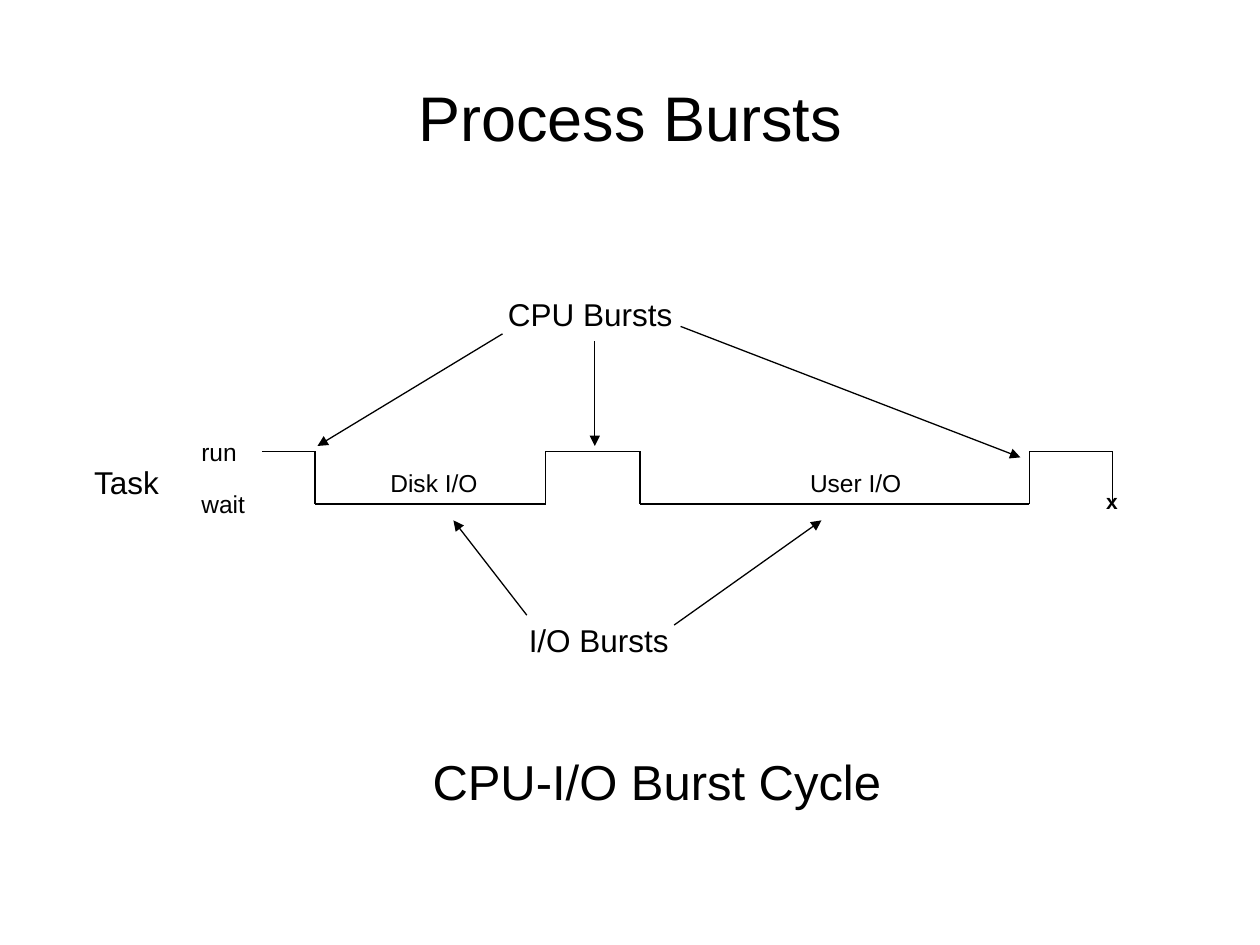
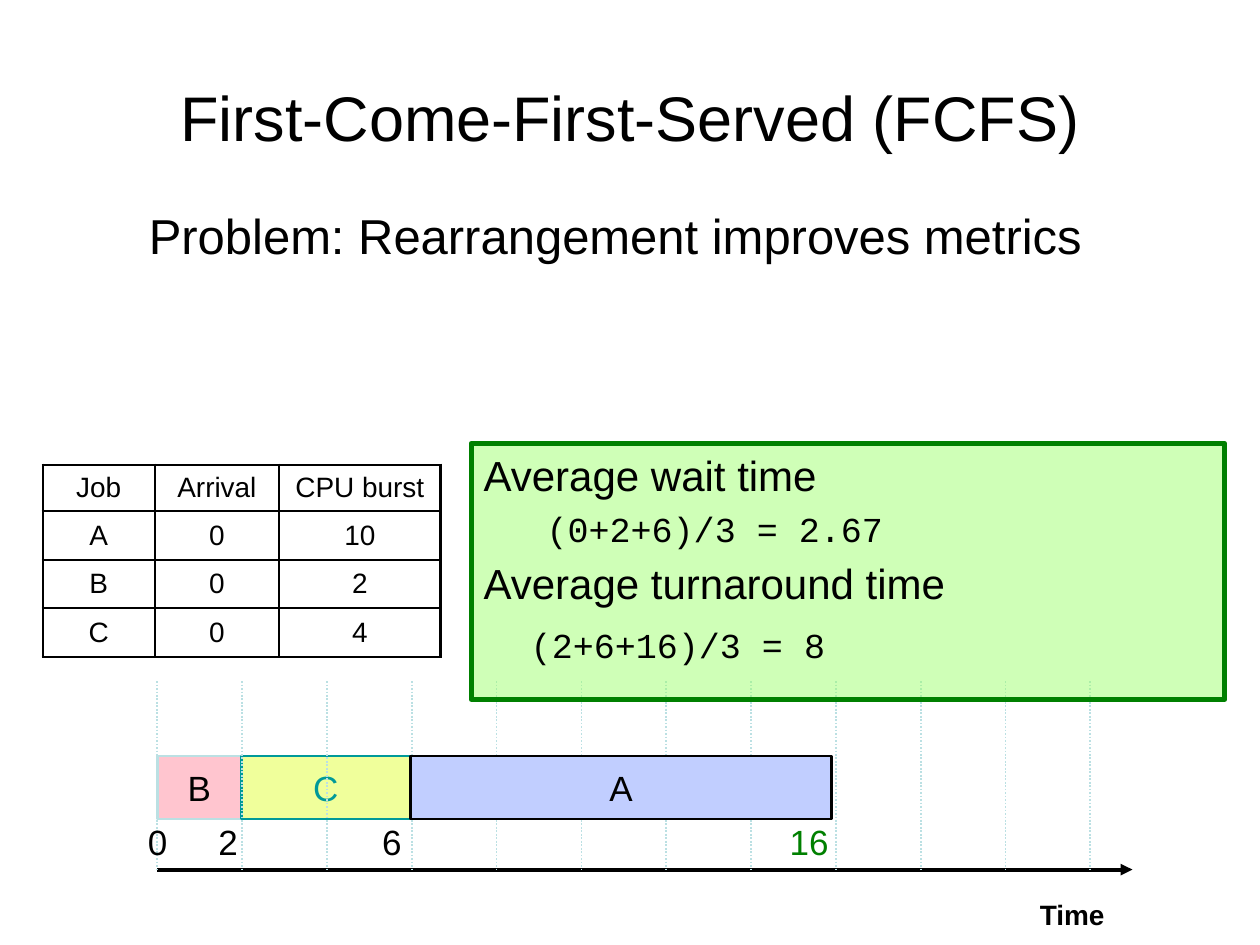
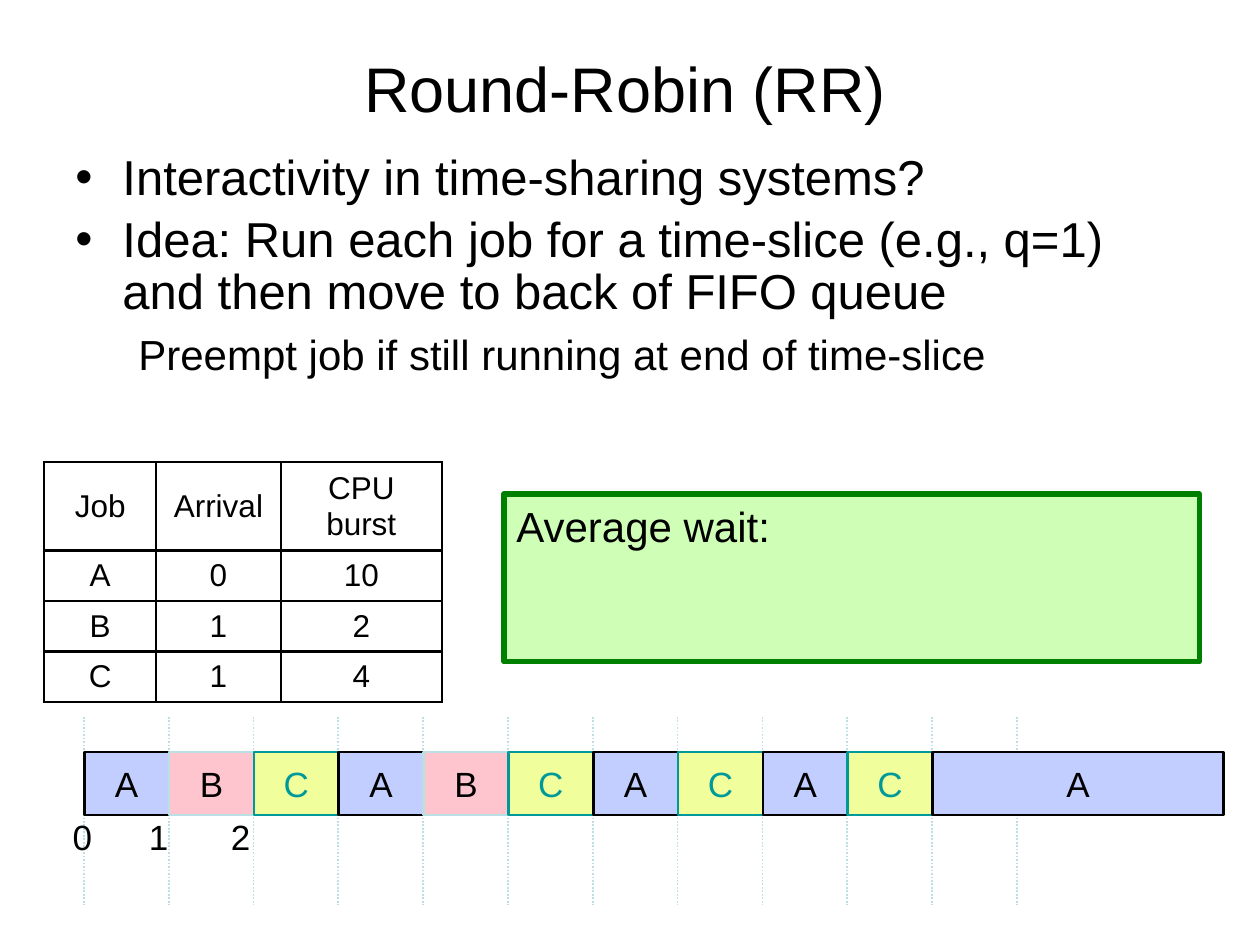
from itertools import cycle, pairwise

from lxml.etree import SubElement
from pptx import Presentation
from pptx.dml.color import RGBColor
from pptx.enum.dml import MSO_LINE
from pptx.enum.shapes import MSO_CONNECTOR, MSO_SHAPE
from pptx.enum.text import MSO_ANCHOR, PP_ALIGN
from pptx.oxml.ns import qn
from pptx.util import Cm, Pt

LEFT, CENTER = PP_ALIGN.LEFT, PP_ALIGN.CENTER
TOP, MIDDLE, BOTTOM = MSO_ANCHOR.TOP, MSO_ANCHOR.MIDDLE, MSO_ANCHOR.BOTTOM
STRAIGHT, RECTANGLE = MSO_CONNECTOR.STRAIGHT, MSO_SHAPE.RECTANGLE
DOTTED = MSO_LINE.ROUND_DOT
TITLE_ONLY = 5

COLORS = {
    "black": "000000",
    "green": "008000",
    "lime": "99FF66",
    "grid": "BBE0E3",
    "pink": "FFC5CF",
    "yellow": "F0FF9B",
    "teal": "009999",
    "blue": "C1CEFF",
}
# Fill, outline and text colour of each job's bars
JOB_COLORS = {
    "A": ("blue", "black", "black"),
    "B": ("pink", "grid", "black"),
    "C": ("yellow", "teal", "teal"),
}
SANS, MONO = "Arial", "Courier New"
GRID_STEP = 1.71
GRID_LINES = 12
GRID_HEIGHT = 3.8
BAR_HEIGHT = 1.27
TICK_WIDTH, TICK_HEIGHT = 1.47, 1.09
COLUMN_WIDTHS = (2.26, 2.51, 3.25)


def rgb(name):
    return RGBColor.from_string(COLORS[name])


def format_paragraph(para, text, size, color="black", font=SANS, bold=False,
                     align=LEFT, before=0, indent=0, bullet=False, spacing=None):
    """Fill one paragraph; indent is in cm, and a bullet hangs in it."""
    para.text = text
    para.alignment = align
    if before:
        para.space_before = Pt(before)
    if spacing:
        para.line_spacing = spacing
    properties = para._p.get_or_add_pPr()
    if indent:
        properties.set("marL", str(Cm(indent)))
        properties.set("indent", str(-Cm(indent) if bullet else 0))
    if bullet:
        SubElement(properties, qn("a:buFont"), typeface=SANS)
        SubElement(properties, qn("a:buChar"), char="•")
    para.font.size = Pt(size)
    para.font.name = font
    para.font.bold = bold
    para.font.color.rgb = rgb(color)


def write_paragraphs(frame, paragraphs):
    """Write (text, size, options) items into a text frame."""
    for index, (text, size, options) in enumerate(paragraphs):
        para = frame.add_paragraph() if index else frame.paragraphs[0]
        format_paragraph(para, text, size, **options)


def add_titled_slide(deck, title, width=22.86, height=3.18):
    slide = deck.slides.add_slide(deck.slide_layouts[TITLE_ONLY])
    box = slide.shapes.title
    box.left, box.top = Cm(1.27), Cm(0.76)
    box.width, box.height = Cm(width), Cm(height)
    box.text_frame.vertical_anchor = MIDDLE
    format_paragraph(box.text_frame.paragraphs[0], title, 36, align=CENTER)
    return slide


def add_text(slide, left, top, width, height, paragraphs, wrap=True, anchor=TOP):
    box = slide.shapes.add_textbox(Cm(left), Cm(top), Cm(width), Cm(height))
    box.text_frame.word_wrap = wrap
    box.text_frame.vertical_anchor = anchor
    write_paragraphs(box.text_frame, paragraphs)


def add_label(slide, text, left, top, width, height, size, bold=False):
    add_text(slide, left, top, width, height, [(text, size, {"bold": bold})], wrap=False)


def add_line(slide, start, end, color="black", weight=0.75, dash=None, arrow=False):
    line = slide.shapes.add_connector(STRAIGHT, *map(Cm, start + end))
    line.line.color.rgb = rgb(color)
    line.line.width = Pt(weight)
    if dash:
        line.line.dash_style = dash
    if arrow:
        SubElement(line.line._get_or_add_ln(), qn("a:tailEnd"), type="triangle")
    SubElement(line.element.spPr, qn("a:effectLst"))


def add_rectangle(slide, left, top, width, height, fill, outline, weight):
    shape = slide.shapes.add_shape(RECTANGLE, Cm(left), Cm(top), Cm(width), Cm(height))
    shape.shadow.inherit = False
    shape.fill.solid()
    shape.fill.fore_color.rgb = rgb(fill)
    shape.line.color.rgb = rgb(outline)
    shape.line.width = Pt(weight)
    return shape


def add_result_panel(slide, left, top, width, height, paragraphs):
    panel = add_rectangle(slide, left, top, width, height, "lime", "green", 3)
    fill_color = panel.element.spPr.find(qn("a:solidFill")).find(qn("a:srgbClr"))
    SubElement(fill_color, qn("a:alpha"), val="47000")
    panel.text_frame.word_wrap = True
    panel.text_frame.vertical_anchor = TOP
    write_paragraphs(panel.text_frame, paragraphs)


def add_bars(slide, left, top, step, jobs):
    """Draw (job, slices) bars end to end and return the right edge."""
    for job, slices in jobs:
        fill, outline, color = JOB_COLORS[job]
        bar = add_rectangle(slide, left, top, slices * step, BAR_HEIGHT, fill, outline, 1.5)
        bar.text_frame.word_wrap = False
        bar.text_frame.vertical_anchor = MIDDLE
        write_paragraphs(bar.text_frame, [(job, 20, {"color": color, "align": CENTER})])
        left += slices * step
    return left


def add_time_grid(slide, left, top):
    for index in range(GRID_LINES):
        x = left + index * GRID_STEP
        add_line(slide, (x, top), (x, top + GRID_HEIGHT), "grid", 1, DOTTED)


def add_ticks(slide, top, ticks):
    """Write (text, centre, colour) labels under the bars."""
    for text, center, color in ticks:
        add_text(slide, center - TICK_WIDTH / 2, top, TICK_WIDTH, TICK_HEIGHT,
                 [(text, 20, {"color": color, "align": CENTER})], anchor=BOTTOM)


def add_borders(cell):
    properties = cell._tc.get_or_add_tcPr()
    for side in ("lnL", "lnR", "lnT", "lnB"):
        border = SubElement(properties, qn(f"a:{side}"), w=str(Pt(1.5)))
        fill = SubElement(border, qn("a:solidFill"))
        SubElement(fill, qn("a:srgbClr"), val=COLORS["black"])


def add_job_table(slide, left, top, header_height, row_height, size, jobs):
    rows = [("Job", "Arrival", "CPU burst"), *jobs]
    heights = [header_height] + [row_height] * len(jobs)
    table = slide.shapes.add_table(
        len(rows), len(COLUMN_WIDTHS), Cm(left), Cm(top),
        Cm(sum(COLUMN_WIDTHS)), Cm(sum(heights))).table
    table.first_row = table.horz_banding = False
    for column, width in zip(table.columns, COLUMN_WIDTHS):
        column.width = Cm(width)
    for row, height, texts in zip(table.rows, heights, rows):
        row.height = Cm(height)
        for cell, text in zip(row.cells, texts):
            add_borders(cell)
            cell.fill.background()
            cell.vertical_anchor = MIDDLE
            format_paragraph(cell.text_frame.paragraphs[0], text, size, align=CENTER)


def build_process_bursts(deck):
    slide = add_titled_slide(deck, "Process Bursts")
    for label in (
        ("Task", 1.65, 9.2, 2.1, 1.02, 18),
        ("run", 3.81, 8.69, 1.4, 0.84, 14),
        ("wait", 3.81, 9.73, 1.6, 0.84, 14),
        ("Disk I/O", 7.62, 9.32, 2.8, 0.84, 14),
        ("User I/O", 16.08, 9.32, 2.8, 0.84, 14),
        ("x", 22.05, 9.73, 0.8, 0.76, 12, True),
        ("CPU Bursts", 9.99, 5.82, 4.2, 1.02, 18),
        ("I/O Bursts", 10.41, 12.4, 3.7, 1.02, 18),
        ("CPU-I/O Burst Cycle", 8.47, 15.03, 10, 1.45, 28),
    ):
        add_label(slide, *label)

    run_level, wait_level = 9.1, 10.16
    switches = (6.35, 11, 12.9, 20.75, 22.43)
    wave = [(5.28, run_level)]
    for x, levels in zip(switches, cycle([(run_level, wait_level), (wait_level, run_level)])):
        wave += [(x, level) for level in levels]
    for start, end in pairwise(wave):
        add_line(slide, start, end)

    for start, end in (
        ((10.13, 6.73), (6.4, 8.99)),
        ((11.99, 6.88), (11.99, 8.99)),
        ((13.72, 6.58), (20.57, 9.22)),
        ((10.62, 12.4), (9.14, 10.49)),
        ((13.59, 12.6), (16.56, 10.49)),
    ):
        add_line(slide, start, end, arrow=True)


def build_first_come(deck):
    slide = add_titled_slide(deck, "First-Come-First-Served (FCFS)")
    add_text(slide, 2.75, 4.01, 19.86, 3.58,
             [("Problem: Rearrangement improves metrics", 28, {})])

    origin, bar_top, bar_step, axis = 3.17, 15.24, 1.7, 17.53
    add_line(slide, (origin, axis), (22.83, axis), weight=2.25, arrow=True)
    add_text(slide, 20.7, 17.96, 1.83, 0.94,
             [("Time", 16, {"bold": True, "align": CENTER})], wrap=False, anchor=BOTTOM)
    bars_end = add_bars(slide, origin, bar_top, bar_step, [("B", 1), ("C", 2)])
    add_time_grid(slide, origin, axis - GRID_HEIGHT)
    add_bars(slide, bars_end, bar_top, bar_step, [("A", 5)])
    add_ticks(slide, 16.43, [("0", 3.18, "black"), ("2", 4.6, "black"),
                             ("6", 7.9, "black"), ("16", 16.31, "green")])

    add_job_table(slide, 0.86, 9.37, 0.93, 0.98, 16,
                  [("A", "0", "10"), ("B", "0", "2"), ("C", "0", "4")])
    add_result_panel(slide, 9.5, 8.94, 15.19, 5.16, [
        ("Average wait time", 24, {}),
        ("(0+2+6)/3 = 2.67", 20, {"font": MONO, "indent": 1.27, "before": 4}),
        ("Average turnaround time", 24, {"before": 4.8}),
        ("(2+6+16)/3 = 8", 20, {"font": MONO, "indent": 0.95, "before": 9}),
    ])


def build_round_robin(deck):
    slide = add_titled_slide(deck, "Round-Robin (RR)", 22.66, 1.98)
    bullet = {"bullet": True, "indent": 0.95, "spacing": 0.89}
    add_text(slide, 1.27, 2.97, 21.59, 5.92, [
        ("Interactivity in time-sharing systems?", 28, bullet),
        ("Idea: Run each job for a time-slice (e.g., q=1) and then move to back of FIFO queue",
         28, {**bullet, "before": 5.6}),
        ("Preempt job if still running at end of time-slice", 24,
         {"indent": 1.27, "before": 4.8}),
    ])

    add_time_grid(slide, 1.69, 14.45)
    add_bars(slide, 1.7, 15.16, GRID_STEP, [(job, 1) for job in "ABCABCACAC"] + [("A", 3.43)])
    add_ticks(slide, 16.33, [("0", 1.66, "black"), ("1", 3.2, "black"), ("2", 4.85, "black")])

    add_job_table(slide, 0.89, 9.32, 1.77, 1.01, 18,
                  [("A", "0", "10"), ("B", "1", "2"), ("C", "1", "4")])
    add_result_panel(slide, 10.16, 9.96, 14.02, 3.38, [("Average wait:", 24, {})])


def main():
    deck = Presentation()
    deck.slide_width, deck.slide_height = Cm(25.4), Cm(19.05)
    build_process_bursts(deck)
    build_first_come(deck)
    build_round_robin(deck)
    deck.save("out.pptx")


if __name__ == "__main__":
    main()
